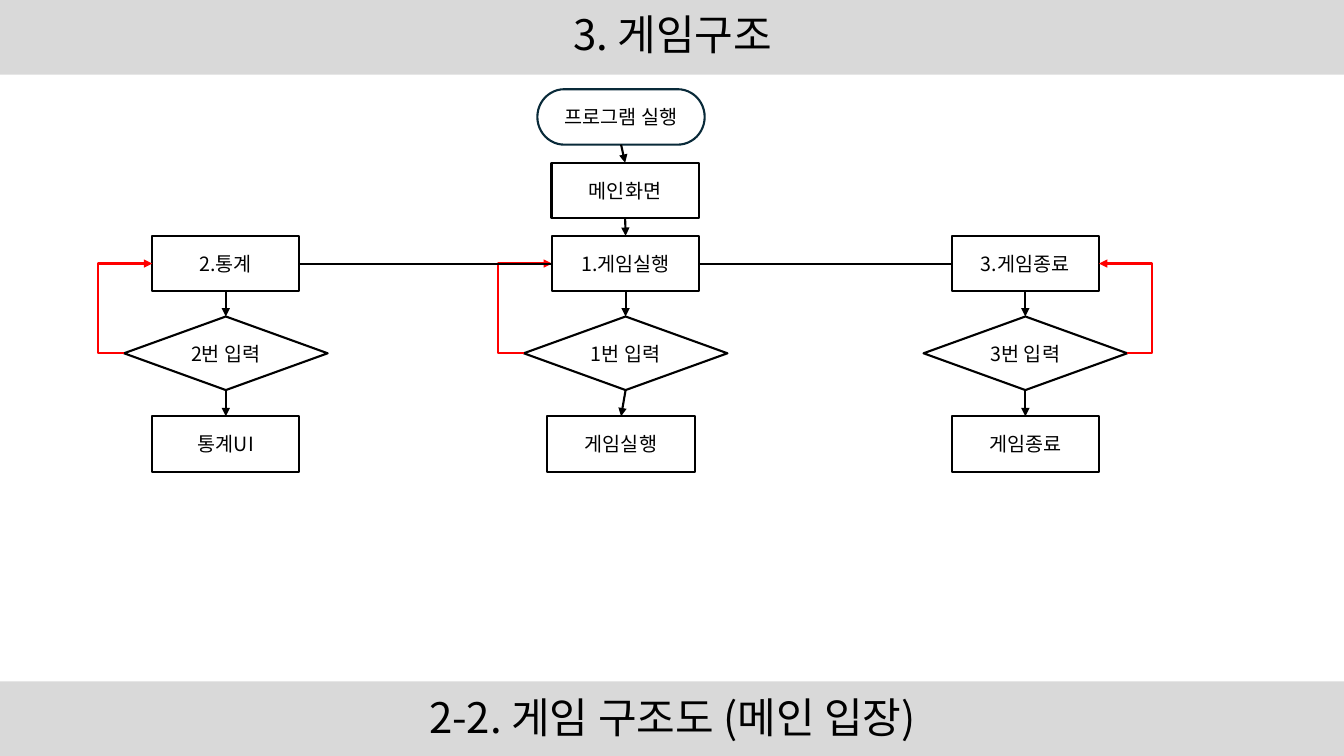
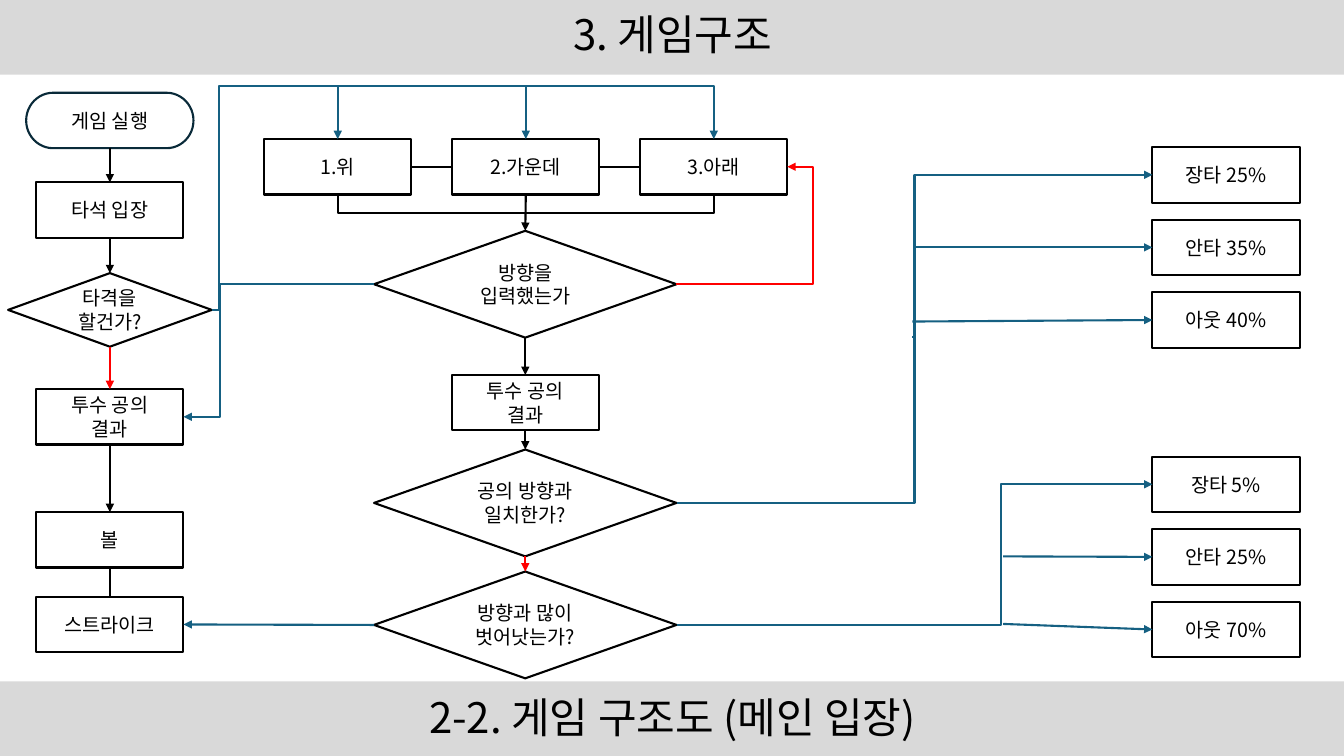
from lxml import etree
from pptx import Presentation
from pptx import util as u
from pptx.dml.color import RGBColor
from pptx.enum import shapes, text
from pptx.oxml.ns import qn

FONT = "Noto Sans CJK KR"
BLACK, WHITE, GREY = "000000", "FFFFFF", "D9D9D9"
NAVY, RED, BLUE = "092A39", "FF0000", "156082"
TOP, LEFT, BOTTOM, RIGHT = range(4)
FORM = shapes.MSO_SHAPE


def tint(code):
    return RGBColor.from_string(code)


def write(frame, words, size=14, color=BLACK, space=None):
    """Fill a frame with centred text, one paragraph per line."""
    frame.word_wrap = True
    frame.auto_size = text.MSO_AUTO_SIZE.NONE
    frame.vertical_anchor = text.MSO_ANCHOR.MIDDLE
    for i, line in enumerate(words.split("\n")):
        para = frame.add_paragraph() if i else frame.paragraphs[0]
        para.alignment = text.PP_ALIGN.CENTER
        if space:
            para.line_spacing = space
        run = para.add_run()
        run.text = line
        font = run.font
        font.name, font.size = FONT, u.Pt(size)
        font.color.rgb = tint(color)
        # Korean glyphs take the East Asian typeface
        etree.SubElement(font._element, qn("a:ea"), typeface=FONT)


class Deck:
    def __init__(self):
        self.prs = Presentation()
        self.prs.slide_width = u.Inches(13.33)
        self.prs.slide_height = u.Inches(7.5)
        self.base = self.prs.slide_layouts[5]
        self.slide = None

    def page(self, title, note):
        """Start a slide with its title and bottom caption."""
        first = self.slide is None
        self.slide = self.prs.slides.add_slide(self.base)
        if first:
            self.bands()
        head = self.slide.shapes.title
        head.left, head.top = u.Inches(0.92), u.Inches(-0.06)
        head.width, head.height = u.Inches(11.5), u.Inches(0.85)
        write(head.text_frame, title, size=30, space=0.9)
        foot = self.slide.shapes.add_textbox(
            u.Inches(0.92), u.Inches(6.78), u.Inches(11.5), u.Inches(0.72))
        write(foot.text_frame, note, size=30, space=0.9)

    def bands(self):
        """Place the grey bands on the layout, behind everything."""
        for mid in (0.37, 7.13):
            band = self.shape(FORM.RECTANGLE, 6.665, mid, 13.33, 0.74,
                              fill=GREY, edge=None)
            self.base.shapes.element.insert(2, band.element)

    def shape(self, form, x, y, w, h, words="", fill=WHITE, edge=BLACK):
        """Draw a preset shape centred on x, y."""
        item = self.slide.shapes.add_shape(
            form, u.Inches(x - w / 2), u.Inches(y - h / 2),
            u.Inches(w), u.Inches(h))
        item.shadow.inherit = False
        item.fill.solid()
        item.fill.fore_color.rgb = tint(fill)
        if edge:
            item.line.color.rgb = tint(edge)
            item.line.width = u.Pt(1.5)
        else:
            item.line.fill.background()
        if words:
            write(item.text_frame, words)
        return item

    def start(self, words, x, y):
        return self.shape(FORM.FLOWCHART_TERMINATOR, x, y, 1.66, 0.55,
                          words, edge=NAVY)

    def box(self, words, x, y):
        return self.shape(FORM.FLOWCHART_PROCESS, x, y, 1.46, 0.55, words)

    def test(self, words, x, y, w=2.02, h=0.73):
        return self.shape(FORM.FLOWCHART_DECISION, x, y, w, h, words)

    def spot(self, end):
        """Turn (shape, side) or (x, y) in inches into a point."""
        item, side = end
        if isinstance(item, (int, float)):
            return u.Inches(item), u.Inches(side)
        dx, dy = ((1, 0), (0, 1), (1, 2), (2, 1))[side]
        return (item.left + item.width * dx // 2,
                item.top + item.height * dy // 2)

    def link(self, a, b, color=BLACK, bend=None, arrow=True):
        """Join two ends; bend holds the x, then y, of the inner turns."""
        (ax, ay), (bx, by) = self.spot(a), self.spot(b)
        kind = shapes.MSO_CONNECTOR
        line = self.slide.shapes.add_connector(
            kind.STRAIGHT if bend is None else kind.ELBOW, ax, ay, bx, by)
        if not isinstance(a[0], (int, float)):
            line.begin_connect(*a)
        if not isinstance(b[0], (int, float)):
            line.end_connect(*b)
        line.line.color.rgb = tint(color)
        line.line.width = u.Pt(1.5)
        props = line.element.spPr
        if bend is not None:
            geom = props.find(qn("a:prstGeom"))
            geom.set("prst", f"bentConnector{2 + len(bend)}")
            spans = ((ax, bx), (ay, by))
            for i, (turn, (p, q)) in enumerate(zip(bend, spans), 1):
                part = round((u.Inches(turn) - p) / (q - p) * 100000)
                etree.SubElement(geom.find(qn("a:avLst")), qn("a:gd"),
                                 name=f"adj{i}", fmla=f"val {part}")
        if arrow:
            etree.SubElement(props.find(qn("a:ln")), qn("a:tailEnd"),
                             type="triangle")
        etree.SubElement(props, qn("a:effectLst"))

    def chain(self, *items, color=BLACK):
        """Arrow down from each item to the next."""
        for a, b in zip(items, items[1:]):
            self.link((a, BOTTOM), (b, TOP), color)

    def row(self, *items):
        """Plain line from each item to its right neighbour."""
        for a, b in zip(items, items[1:]):
            self.link((a, RIGHT), (b, LEFT), arrow=False)


def menu(deck):
    begin = deck.start("프로그램 실행", 6.16, 1.16)
    home = deck.box("메인화면", 6.2, 1.89)

    # One column per choice: label, key, result, result x, loop side, loop x
    cols = (("2.통계", "2번 입력", "통계UI", 2.24, LEFT, 0.97),
            ("1.게임실행", "1번 입력", "게임실행", 6.16, LEFT, 4.94),
            ("3.게임종료", "3번 입력", "게임종료", 10.17, RIGHT, 11.43))
    picks = []
    for i, (label, key, result, end, side, turn) in enumerate(cols):
        x = 2.24 + 3.965 * i
        pick = deck.box(label, x, 2.615)
        ask = deck.test(key, x, 3.505)
        deck.chain(pick, ask, deck.box(result, end, 4.405))
        deck.link((ask, side), (pick, side), RED, bend=(turn,))
        picks.append(pick)

    deck.row(*picks)
    deck.chain(begin, home, picks[1])


def game(deck):
    # Left column: at bat
    begin = deck.start("게임 실행", 1.09, 1.195)
    enter = deck.box("타석 입장", 1.09, 2.085)
    swing = deck.test("타격을\n할건가?", 1.09, 3.075)
    pitch = deck.box("투수 공의\n결과", 1.09, 4.135)
    ball = deck.box("볼", 1.09, 5.355)
    strike = deck.box("스트라이크", 1.09, 6.195)
    deck.chain(begin, enter, swing)
    deck.chain(swing, pitch, color=RED)
    deck.chain(pitch, ball)
    deck.link((ball, BOTTOM), (strike, TOP), arrow=False)

    # Centre column: aim and checks
    aims = [deck.box(name, 3.35 + 1.865 * i, 1.655)
            for i, name in enumerate(("1.위", "2.가운데", "3.아래"))]
    aimed = deck.test("방향을\n입력했는가", 5.21, 2.82, 3, 1.06)
    throw = deck.box("투수 공의\n결과", 5.21, 3.995)
    match = deck.test("공의 방향과\n일치한가?", 5.21, 4.99, 3, 1.06)
    miss = deck.test("방향과 많이\n벗어낫는가?", 5.21, 6.2, 3, 1.06)
    deck.row(*aims)
    deck.chain(aims[1], aimed, throw, match)
    deck.chain(match, miss, color=RED)
    for aim in (aims[0], aims[2]):
        deck.link((5.21, 2.11), (aim, BOTTOM), bend=(), arrow=False)

    # Swing leads to each aim
    deck.link((swing, RIGHT), (aims[0], TOP), BLUE, bend=(2.17, 0.85))
    for i, aim in enumerate(aims[1:]):
        deck.link((3.35 + 1.865 * i, 0.85), (aim, TOP), BLUE, bend=())
    deck.link((aimed, LEFT), (pitch, RIGHT), BLUE, bend=(2.18,))
    deck.link((aimed, RIGHT), (aims[2], RIGHT), RED, bend=(8.06,))
    deck.link((miss, LEFT), (strike, RIGHT), BLUE)

    # Right column: odds after a match and after a near miss
    near, far = [
        [deck.box(odds, 12.16, y + 0.72 * i) for i, odds in enumerate(group)]
        for y, group in ((1.735, ("장타 25%", "안타 35%", "아웃 40%")),
                         (4.805, ("장타 5%", "안타 25%", "아웃 70%")))]
    for a, b, bend in (((match, RIGHT), near[0], (9.07,)),
                       ((9.05, 3.34), near[1], (9.07,)),
                       ((9.05, 3.19), near[2], None),
                       ((miss, RIGHT), far[0], (9.93,)),
                       ((9.95, 5.52), far[1], None),
                       ((9.95, 6.19), far[2], None)):
        deck.link(a, (b, LEFT), BLUE, bend)


def main():
    deck = Deck()
    for draw in (menu, game):
        deck.page("3. 게임구조", "2-2. 게임 구조도 (메인 입장)")
        draw(deck)
    deck.prs.save("out.pptx")


if __name__ == "__main__":
    main()
